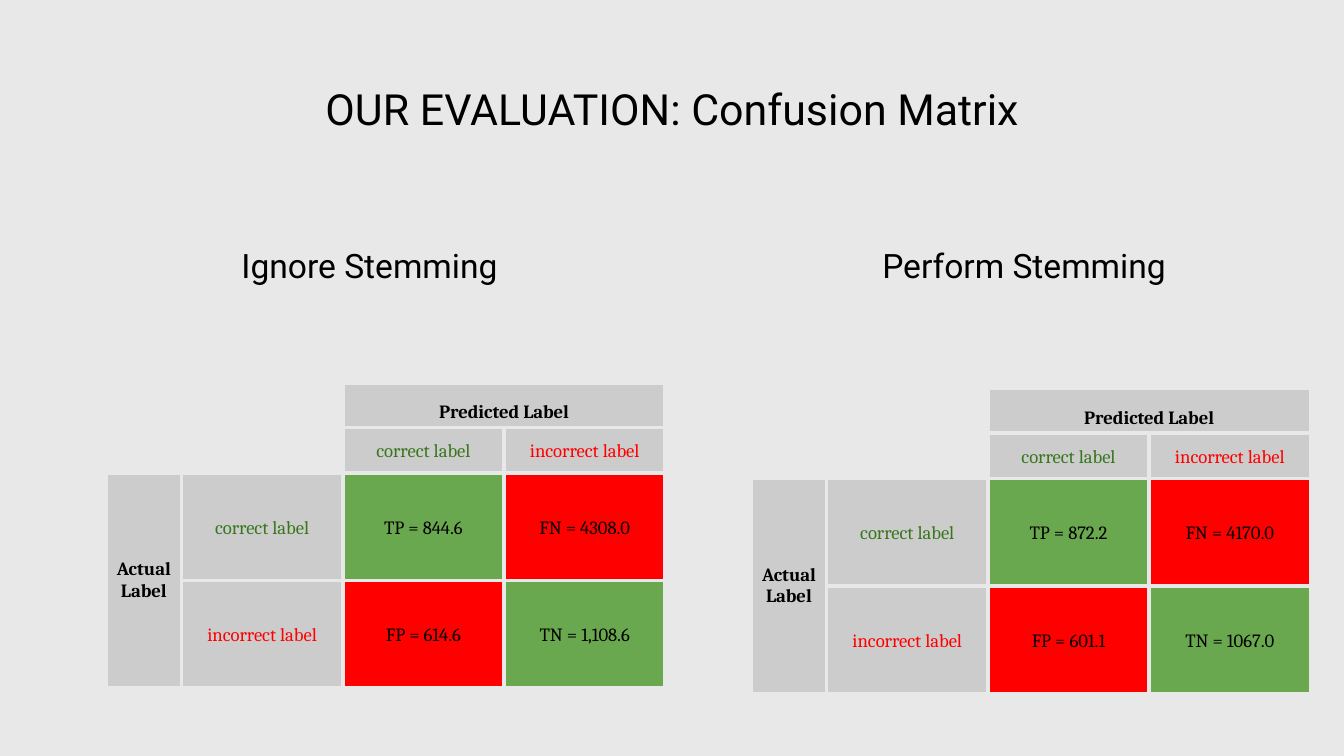
from lxml.etree import SubElement
from pptx import Presentation
from pptx.dml.color import RGBColor
from pptx.enum.text import MSO_ANCHOR, PP_ALIGN
from pptx.oxml.ns import qn
from pptx.util import Inches, Pt

HUES = {"back": "E8E8E8", "gray": "CCCCCC", "good": "6AA84F", "bad": "FF0000",
        "green": "38761D", "black": "000000"}


def style(frame, font, size, hue="black", bold=False, space=None):
    for para in frame.paragraphs:
        para.alignment = PP_ALIGN.CENTER
        if space:
            para.line_spacing = space
        for run in para.runs:
            run.font.name = font
            run.font.size = Pt(size)
            run.font.bold = bold
            run.font.color.rgb = RGBColor.from_string(HUES[hue])


def border(cell):
    props = cell._tc.get_or_add_tcPr()
    for side in ("lnL", "lnR", "lnT", "lnB"):
        line = SubElement(props, qn(f"a:{side}"), w=str(Pt(2.25)))
        fill = SubElement(line, qn("a:solidFill"))
        SubElement(fill, qn("a:srgbClr"), val=HUES["back"])


# Slide in the 16:9 format
deck = Presentation()
deck.slide_width = Inches(10)
deck.slide_height = Inches(10 * 9 / 16)
slide = deck.slides.add_slide(deck.slide_layouts[6])
slide.background.fill.solid()
slide.background.fill.fore_color.rgb = RGBColor.from_string(HUES["back"])

# Title and headings
heads = [("OUR EVALUATION: Confusion Matrix", 0.79, 0.49, 8.43, 0.63, 23),
         ("Ignore Stemming", 1.16, 1.72, 3.18, 0.51, 18),
         ("Perform Stemming", 6.03, 1.72, 3.18, 0.51, 18)]
for text, left, top, width, height, size in heads:
    box = slide.shapes.add_textbox(Inches(left), Inches(top), Inches(width), Inches(height))
    frame = box.text_frame
    frame.word_wrap = True
    frame.vertical_anchor = MSO_ANCHOR.MIDDLE
    frame.margin_left = frame.margin_right = Inches(0.1)
    frame.margin_top = frame.margin_bottom = Inches(0.1)
    frame.text = text
    style(frame, "Roboto", size)

# Labels shared by both tables: row, column, text, font colour, bold
labels = [(0, 2, "Predicted Label", "black", True),
          (1, 2, "correct label", "green", False),
          (1, 3, "incorrect label", "bad", False),
          (2, 0, "Actual Label", "black", True),
          (2, 1, "correct label", "green", False),
          (3, 1, "incorrect label", "bad", False)]
widths = [0.56, 1.2, 1.2, 1.2]
heights = [0.33, 0.34, 0.8, 0.8]

# Confusion matrices
grids = [(0.79, 2.85, ["TP = 844.6", "FN = 4308.0", "FP = 614.6", "TN = 1,108.6"]),
         (5.59, 2.89, ["TP = 872.2", "FN = 4170.0", "FP = 601.1", "TN = 1067.0"])]
for left, top, counts in grids:
    table = slide.shapes.add_table(4, 4, Inches(left), Inches(top),
                                   Inches(sum(widths)), Inches(sum(heights))).table
    table.first_row = table.horz_banding = False
    for col, width in zip(table.columns, widths):
        col.width = Inches(width)
    for row, height in zip(table.rows, heights):
        row.height = Inches(height)
    for cell in table.iter_cells():
        border(cell)
        cell.fill.background()
        cell.margin_left = cell.margin_right = 0
        cell.margin_top = cell.margin_bottom = 0
    table.cell(0, 2).merge(table.cell(0, 3))
    table.cell(2, 0).merge(table.cell(3, 0))

    # Labels on gray, counts on green or red
    items = [(*label, "gray") for label in labels]
    for i, text in enumerate(counts):
        items.append((2 + i // 2, 2 + i % 2, text, "black", False,
                      "good" if i in (0, 3) else "bad"))
    for r, c, text, hue, bold, fill in items:
        cell = table.cell(r, c)
        cell.fill.solid()
        cell.fill.fore_color.rgb = RGBColor.from_string(HUES[fill])
        cell.margin_left = cell.margin_right = Inches(0.03)
        cell.margin_top = cell.margin_bottom = Inches(0.03)
        cell.vertical_anchor = MSO_ANCHOR.BOTTOM if r == 0 else MSO_ANCHOR.MIDDLE
        cell.text_frame.text = text
        style(cell.text_frame, "Cambria", 10, hue, bold, None if bold else 1.15)

deck.save("out.pptx")
